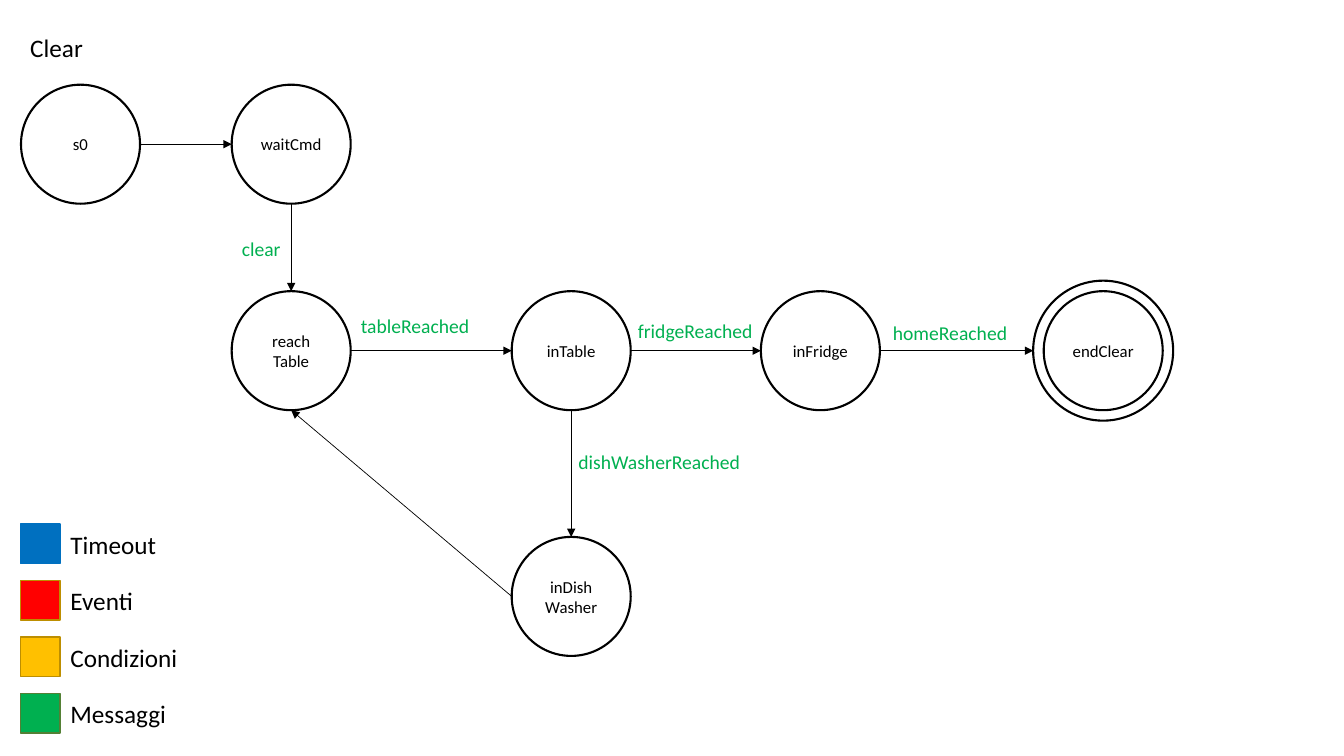
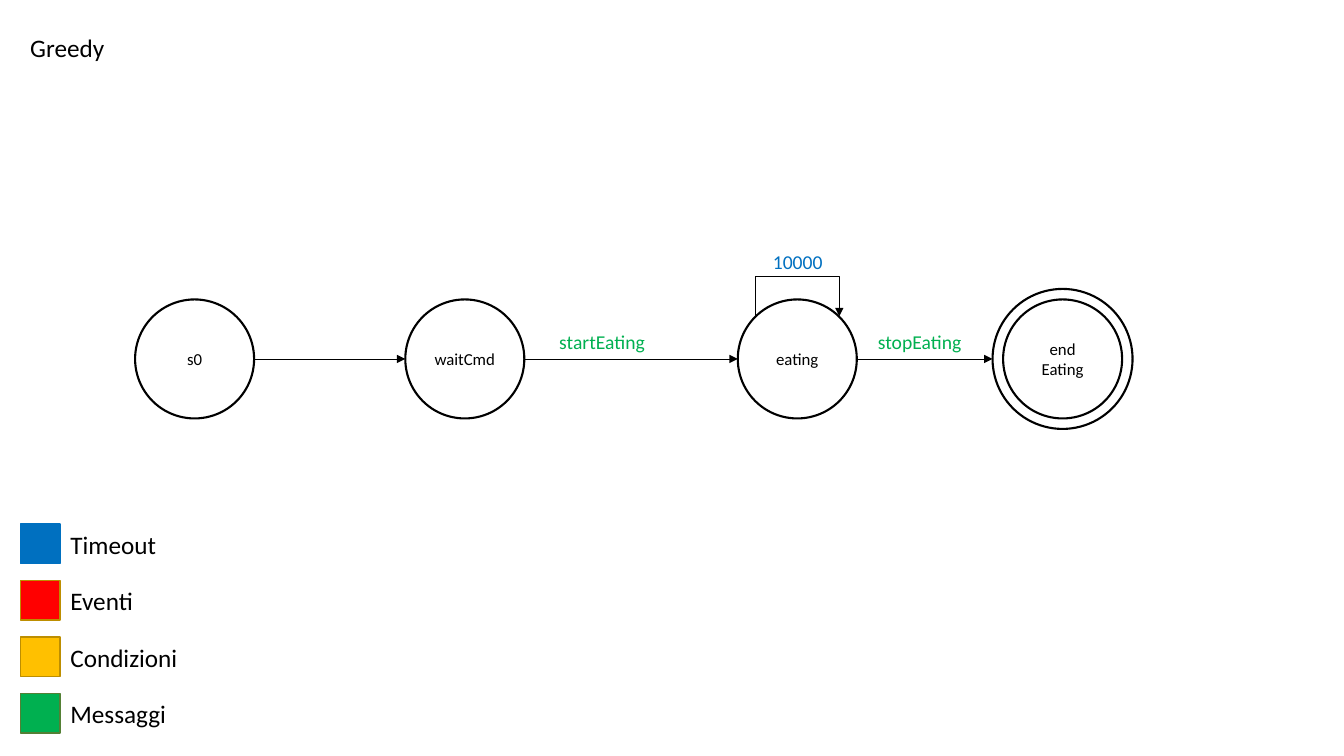
from lxml import etree
from pptx import Presentation
from pptx.dml.color import RGBColor
from pptx.enum.shapes import MSO_CONNECTOR as CONN, MSO_SHAPE as SHAPE
from pptx.enum.text import MSO_ANCHOR as ANCHOR, MSO_AUTO_SIZE as AUTO, PP_ALIGN as ALIGN
from pptx.oxml.ns import qn
from pptx.util import Pt

BLACK = RGBColor(0x00, 0x00, 0x00)
WHITE = RGBColor(0xFF, 0xFF, 0xFF)
BLUE = RGBColor(0x00, 0x70, 0xC0)
RED = RGBColor(0xFF, 0x00, 0x00)
YELLOW = RGBColor(0xFF, 0xC0, 0x00)
GREEN = RGBColor(0x00, 0xB0, 0x50)
DARK_YELLOW = RGBColor(0xBD, 0x8E, 0x00)
DARK_GREEN = RGBColor(0x53, 0x80, 0x35)

FONT = "Calibri"
STATE_SIZE, RING_SIZE = 85, 100
LEGEND_LEFT, LEGEND_TOP, LEGEND_STEP, SWATCH_SIZE = 14.6, 374.4, 40.3, 28.2
LEGEND = [  # text, text width, fill, outline
    ("Timeout", 76, BLUE, BLUE),
    ("Eventi", 60, RED, DARK_YELLOW),
    ("Condizioni", 92, YELLOW, DARK_YELLOW),
    ("Messaggi", 83.5, GREEN, DARK_GREEN),
]
# side: (connection site of an ellipse, x and y offset in radii)
SIDES = {"top": (0, 0, -1), "left": (2, -1, 0), "bottom": (4, 0, 1), "right": (6, 1, 0)}


class StateDiagram:
    """The presentation, its style and the slide being drawn."""

    def __init__(self):
        self.prs = Presentation()
        self.prs.slide_width, self.prs.slide_height = Pt(960), Pt(540)

    def new_slide(self, title):
        self.slide = self.prs.slides.add_slide(self.prs.slide_layouts[5])
        sp = self.slide.shapes.title
        sp.left, sp.top, sp.width, sp.height = Pt(14.4), Pt(19.4), Pt(70), Pt(29)
        self.set_text(sp, title, 18)
        self.legend()

    def set_text(self, sp, text, size, color=BLACK, align=ALIGN.LEFT, anchor=ANCHOR.TOP, wrap=False):
        tf = sp.text_frame
        tf.text = text
        frame = {"word_wrap": wrap, "auto_size": AUTO.NONE, "vertical_anchor": anchor}
        for name, value in frame.items():
            setattr(tf, name, value)
        for p in tf.paragraphs:
            p.alignment = align
            for name, value in {"name": FONT, "size": Pt(size), "bold": False}.items():
                setattr(p.font, name, value)
            p.font.color.rgb = color

    def shape(self, kind, x, y, size, fill, outline, weight):
        sp = self.slide.shapes.add_shape(kind, Pt(x), Pt(y), Pt(size), Pt(size))
        sp.shadow.inherit = False
        sp.fill.solid()
        sp.fill.fore_color.rgb = fill
        sp.line.color.rgb = outline
        sp.line.width = Pt(weight)
        return sp

    def label(self, text, x, y, width, color=GREEN, size=14, height=24.5):
        sp = self.slide.shapes.add_textbox(Pt(x), Pt(y), Pt(width), Pt(height))
        self.set_text(sp, text, size, color)

    def legend(self):
        for i, (text, width, fill, outline) in enumerate(LEGEND):
            y = LEGEND_TOP + i * LEGEND_STEP
            self.shape(SHAPE.RECTANGLE, LEGEND_LEFT, y, SWATCH_SIZE, fill, outline, 1)
            self.label(text, 43.2, y, width, BLACK, 18, 29)

    def circle(self, cx, cy, size):
        return self.shape(SHAPE.OVAL, cx - size / 2, cy - size / 2, size, WHITE, BLACK, 1.5)

    def state(self, text, cx, cy, final=False):
        """Draw a state and return its outermost circle, to which arrows attach."""
        ring = self.circle(cx, cy, RING_SIZE) if final else None
        sp = self.circle(cx, cy, STATE_SIZE)
        self.set_text(sp, text, 12, BLACK, ALIGN.CENTER, ANCHOR.MIDDLE, True)
        return ring or sp

    def connector(self, kind, *ends):
        c = self.slide.shapes.add_connector(kind, *ends)
        c.line.color.rgb = BLACK
        c.line.width = Pt(0.5)
        ln = c._element.spPr.find(qn("a:ln"))
        etree.SubElement(ln, qn("a:tailEnd"), type="triangle")
        etree.SubElement(c._element.spPr, qn("a:effectLst"))
        return c

    def arrow(self, source, target, start="right", end="left"):
        """Join two circles by an arrow that stays attached to both."""
        ends, sites = [], []
        for sp, side in ((source, start), (target, end)):
            site, dx, dy = SIDES[side]
            radius = sp.width / 2
            ends += [int(sp.left + radius * (1 + dx)), int(sp.top + radius * (1 + dy))]
            sites.append((sp.shape_id, site))
        c = self.connector(CONN.STRAIGHT, *ends)
        props = c._element.find(".//" + qn("p:cNvCxnSpPr"))
        for tag, (shape_id, site) in zip(("a:stCxn", "a:endCxn"), sites):
            etree.SubElement(props, qn(tag), id=str(shape_id), idx=str(site))

    def self_loop(self, cx, cy):
        """Draw a square loop above a state, between its two upper diagonals."""
        reach = 30
        y = cy - reach
        c = self.connector(CONN.ELBOW, Pt(cx + 0.5), Pt(y + reach), Pt(cx - 0.5), Pt(y - reach))
        c._element.spPr.find(qn("a:xfrm")).set("rot", "5400000")
        guides = c._element.find(".//" + qn("a:avLst"))
        etree.SubElement(guides, qn("a:gd"), name="adj1", fmla=f"val {reach * 100000}")


def clear_slide(d):
    d.new_slide("Clear")
    top, middle, bottom = 103, 250.5, 426
    s0 = d.state("s0", 57.5, top)
    wait = d.state("waitCmd", 208, top)
    reach = d.state("reach Table", 208, middle)
    table = d.state("inTable", 408, middle)
    fridge = d.state("inFridge", 586, middle)
    end = d.state("endClear", 788, middle, final=True)
    washer = d.state("inDish\nWasher", 408, bottom)
    for source, target in ((s0, wait), (reach, table), (table, fridge), (fridge, end)):
        d.arrow(source, target)
    d.arrow(wait, reach, "bottom", "top")
    d.arrow(table, washer, "bottom", "top")
    d.arrow(washer, reach, "left", "bottom")
    d.label("clear", 165.6, 165.6, 42.5)
    d.label("tableReached", 250.6, 221, 93)
    d.label("fridgeReached", 448.6, 224, 97)
    d.label("homeReached", 630.7, 226, 97)
    d.label("dishWasherReached", 406, 318.2, 132)


def greedy_slide(d):
    d.new_slide("Greedy")
    middle, eating_x = 256.4, 569.5
    states = [
        d.state("s0", 139, middle),
        d.state("waitCmd", 332, middle),
        d.state("eating", eating_x, middle),
        d.state("end\nEating", 759, middle, final=True),
    ]
    for source, target in zip(states, states[1:]):
        d.arrow(source, target)
    d.self_loop(eating_x, middle)
    d.label("startEating", 392.4, 231.8, 77)
    d.label("stopEating", 620, 231.8, 75)
    d.label("10000", 545, 175, 50.4, BLUE)


def main():
    d = StateDiagram()
    clear_slide(d)
    greedy_slide(d)
    d.prs.save("out.pptx")


if __name__ == "__main__":
    main()
